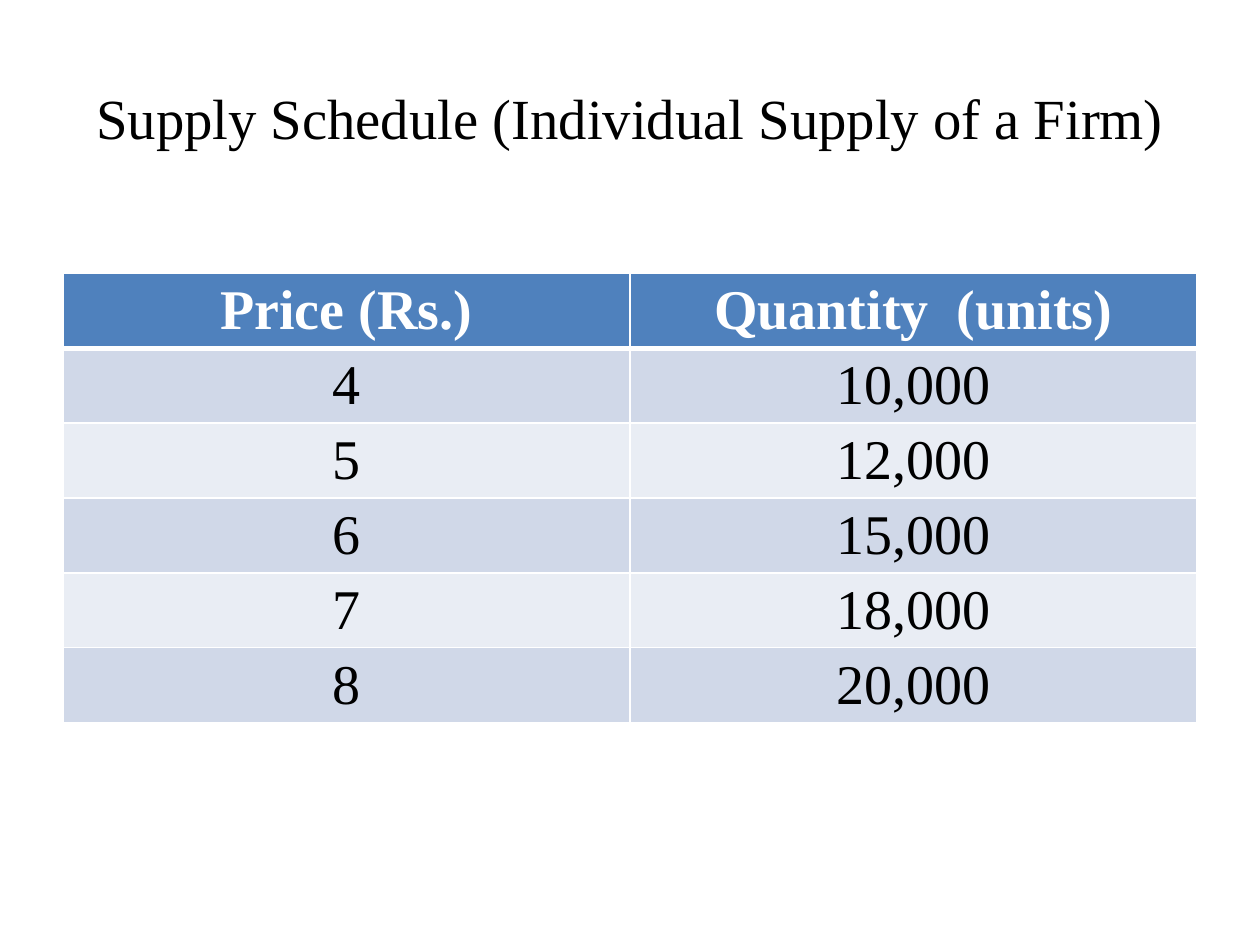
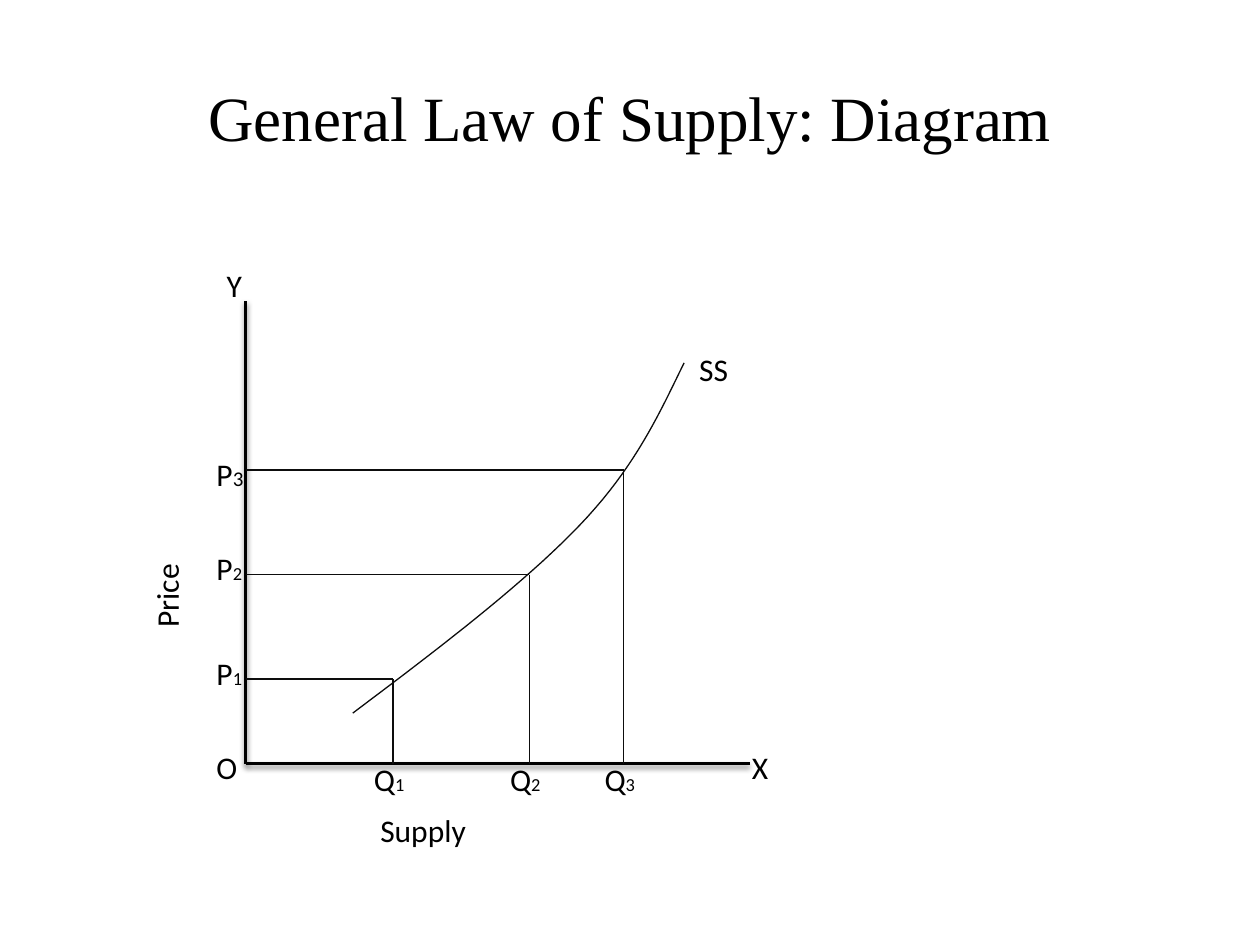
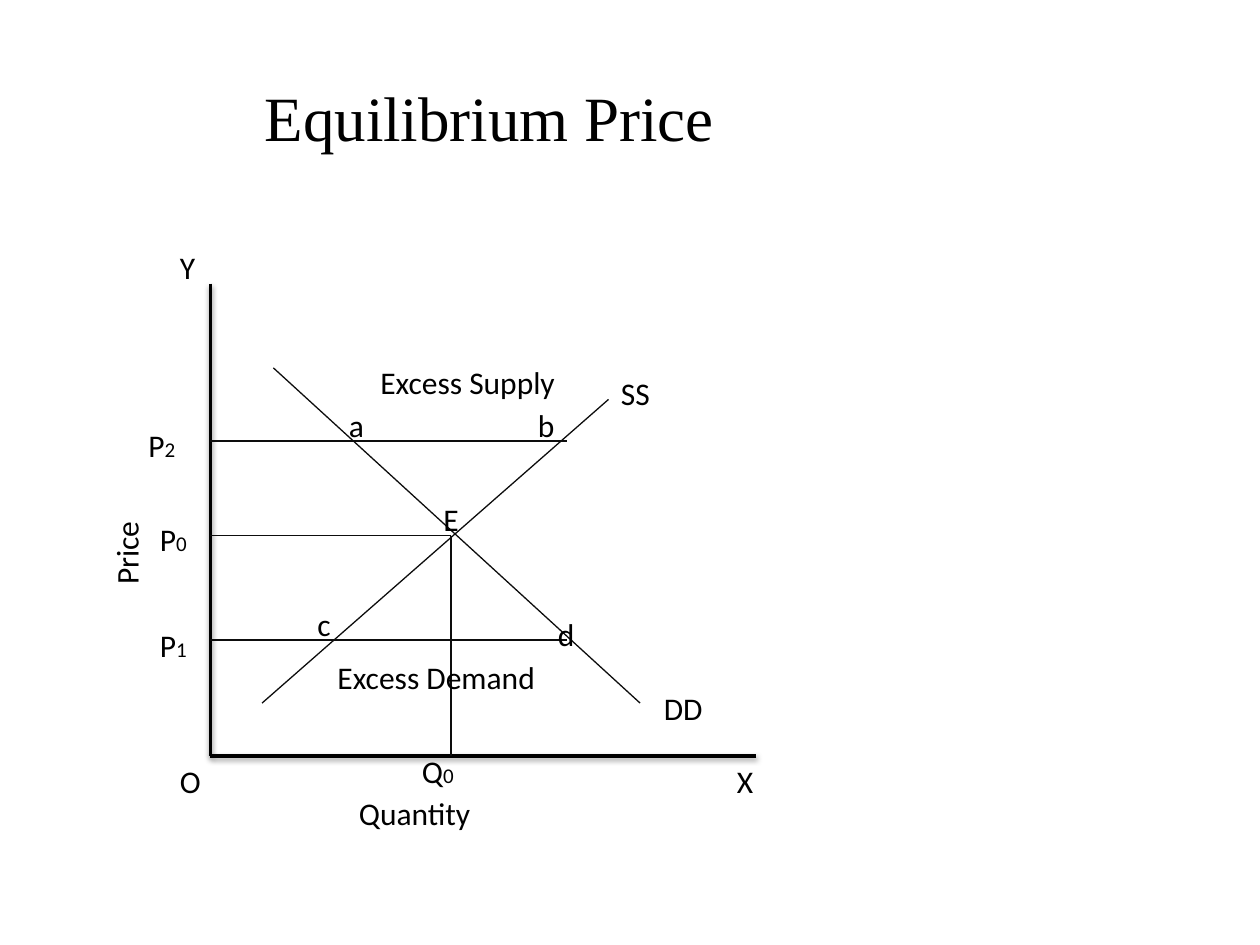
from dataclasses import dataclass

from lxml.etree import SubElement
from pptx import Presentation
from pptx.dml.color import RGBColor
from pptx.enum.shapes import MSO_CONNECTOR
from pptx.enum.text import MSO_ANCHOR, MSO_AUTO_SIZE, PP_ALIGN
from pptx.oxml import parse_xml
from pptx.oxml.ns import nsdecls, qn
from pptx.util import Inches, Pt

COLORS = {
    "text": "000000",
    "axis": "000000",
    "curve": "0D0D0D",
    "white": "FFFFFF",
    "header": "4F81BD",
    "odd_row": "D0D8E8",
    "even_row": "E9EDF4",
}
TITLE_FONT = "Times New Roman"
LABEL_FONT = "Calibri"
TITLE_ONLY = 5


@dataclass
class Box:
    """A region of a slide, in inches."""

    left: float
    top: float
    width: float
    height: float

    def point(self, offset):
        """Return the slide position of an offset from the top left corner."""
        return Inches(self.left + offset[0]), Inches(self.top + offset[1])


TITLE_BOX = Box(0.5, 0.3, 9, 1.25)


def color(name):
    """Return a named colour."""
    return RGBColor.from_string(COLORS[name])


def format_run(run, size, font=LABEL_FONT, color_name="text", bold=False):
    """Set the font of a run."""
    run.font.size = Pt(size)
    run.font.name = font
    run.font.bold = bold
    run.font.color.rgb = color(color_name)


def add_titled_slide(presentation, title, size=36, alignment=PP_ALIGN.CENTER, indent=0.1):
    """Add a slide and format its title."""
    slide = presentation.slides.add_slide(presentation.slide_layouts[TITLE_ONLY])
    shape = slide.shapes.title
    shape.left, shape.top = TITLE_BOX.point((0, 0))
    shape.width, shape.height = Inches(TITLE_BOX.width), Inches(TITLE_BOX.height)
    text_frame = shape.text_frame
    text_frame.text = title
    text_frame.margin_left = Inches(indent)
    text_frame.vertical_anchor = MSO_ANCHOR.MIDDLE
    paragraph = text_frame.paragraphs[0]
    paragraph.alignment = alignment
    format_run(paragraph.runs[0], size, TITLE_FONT)
    return slide


def set_borders(cell, top=1, bottom=1):
    """Give a cell white borders, widths in points."""
    properties = cell._tc.get_or_add_tcPr()
    widths = {"lnL": 1, "lnR": 1, "lnT": top, "lnB": bottom}
    for index, (tag, width) in enumerate(widths.items()):
        properties.insert(index, parse_xml(
            f'<a:{tag} {nsdecls("a")} w="{Pt(width)}"><a:solidFill>'
            f'<a:srgbClr val="{COLORS["white"]}"/></a:solidFill></a:{tag}>'))


def add_schedule(slide, box, rows):
    """Add a banded table whose first row is the header."""
    left, top = box.point((0, 0))
    table = slide.shapes.add_table(
        len(rows), len(rows[0]), left, top, Inches(box.width), Inches(box.height)).table
    for row_index, values in enumerate(rows):
        is_header = row_index == 0
        band = "header" if is_header else "odd_row" if row_index % 2 else "even_row"
        for column_index, value in enumerate(values):
            cell = table.cell(row_index, column_index)
            cell.text_frame.text = value
            cell.fill.solid()
            cell.fill.fore_color.rgb = color(band)
            set_borders(cell, 3 if row_index == 1 else 1, 3 if is_header else 1)
            paragraph = cell.text_frame.paragraphs[0]
            paragraph.alignment = PP_ALIGN.CENTER
            format_run(paragraph.runs[0], 32, TITLE_FONT,
                       "white" if is_header else "text", is_header)


def add_line(slide, box, start, end, color_name="curve", width=0.75):
    """Add a straight line and return its empty effect list."""
    connector = slide.shapes.add_connector(
        MSO_CONNECTOR.STRAIGHT, *box.point(start), *box.point(end))
    connector.line.color.rgb = color(color_name)
    connector.line.width = Pt(width)
    return SubElement(connector.element.spPr, qn("a:effectLst"))


def add_axes(slide, box):
    """Add shadowed axes along the left and bottom edges of the box."""
    origin = (0, box.height)
    for end in ((0, 0), (box.width, box.height)):
        effects = add_line(slide, box, end, origin, "axis", 2)
        effects.append(parse_xml(
            f'<a:outerShdw {nsdecls("a")} blurRad="{Pt(3.1)}" dist="{Pt(1.6)}" '
            'dir="5400000" rotWithShape="0"><a:srgbClr val="000000">'
            '<a:alpha val="38000"/></a:srgbClr></a:outerShdw>'))


def add_guides(slide, box, x, y):
    """Join a point to both axes."""
    add_line(slide, box, (0, y), (x, y))
    add_line(slide, box, (x, y), (x, box.height))


def add_label(slide, box, text, x, y, width=0.5, height=0.4, subscript="", subscript_size=12):
    """Add a label, optionally ending in a small index."""
    shape = slide.shapes.add_textbox(*box.point((x, y)), Inches(width), Inches(height))
    text_frame = shape.text_frame
    text_frame.word_wrap = True
    text_frame.auto_size = MSO_AUTO_SIZE.SHAPE_TO_FIT_TEXT
    paragraph = text_frame.paragraphs[0]
    paragraph.text = text
    format_run(paragraph.runs[0], 18)
    if subscript:
        run = paragraph.add_run()
        run.text = subscript
        format_run(run, subscript_size)
    return shape


def bezier_points(start, control_1, control_2, end, steps=20):
    """Return points along a cubic curve, without its start."""
    points = []
    for step in range(1, steps + 1):
        t = step / steps
        weights = ((1 - t) ** 3, 3 * t * (1 - t) ** 2, 3 * t ** 2 * (1 - t), t ** 3)
        corners = zip(start, control_1, control_2, end)
        points.append(tuple(sum(w * c for w, c in zip(weights, axis)) for axis in corners))
    return points


def add_curve(slide, box, knots):
    """Draw a smooth outline through joined cubic segments."""
    points = []
    for index in range(0, len(knots) - 1, 3):
        points += bezier_points(*knots[index:index + 4])
    builder = slide.shapes.build_freeform(*box.point(knots[0]))
    builder.add_line_segments([box.point(point) for point in points], close=False)
    shape = builder.convert_to_shape()
    shape.shadow.inherit = False
    shape.fill.background()
    shape.line.color.rgb = color("curve")
    shape.line.width = Pt(0.75)


def add_supply_diagram(slide, box):
    """Draw the rising supply curve with three price levels."""
    add_axes(slide, box)
    levels = (("1", 1.17, 3, 2.75, 10.5), ("2", 2.25, 2.17, 1.92, 10.5), ("3", 3, 1.34, 1.17, 12))
    for index, x, y, label_y, price_size in levels:
        add_guides(slide, box, x, y)
        add_label(slide, box, "P", -0.33, label_y, subscript=index, subscript_size=price_size)
        add_label(slide, box, "Q", x - 0.25, box.height - 0.08,
                  subscript=index, subscript_size=10.5)
    for label in (("SS", 3.5, 0.34, 0.75), ("Y", -0.25, -0.33), ("X", 3.92, 3.5),
                  ("O", -0.33, 3.5), ("Supply", 0.97, 4, 2.53)):
        add_label(slide, box, *label)
    price = add_label(slide, box, "Price", -0.83, 1.25, 0.5, 1.44)
    price.element.txBody.find(qn("a:bodyPr")).set("vert", "vert270")
    add_curve(slide, box, [(3.48, 0.49), (3.28, 0.9), (3.09, 1.32), (2.65, 1.78),
                           (2.21, 2.24), (1.53, 2.76), (0.85, 3.27)])


def add_equilibrium_diagram(slide, box):
    """Draw crossing supply and demand lines with excess zones."""
    add_axes(slide, box)
    add_line(slide, box, (0.41, 3.33), (3.16, 0.92))
    add_line(slide, box, (0.5, 0.67), (3.41, 3.33))
    add_guides(slide, box, 1.91, 2)
    for y in (1.25, 2.83):
        add_line(slide, box, (0, y), (2.83, y))
    for text, index, x, y, width in (("P", "1", -0.5, 2.67, 0.5), ("P", "0", -0.5, 1.83, 0.5),
                                     ("P", "2", -0.59, 1.08, 0.58), ("Q", "0", 1.58, 3.67, 0.75)):
        add_label(slide, box, text, x, y, width, subscript=index)
    for label in (("DD", 3.5, 3.17, 0.92), ("SS", 3.16, 0.67, 0.71), ("Quantity", 1.08, 4, 1.58),
                  ("O", -0.34, 3.75, 0.33), ("X", 4.08, 3.75, 0.75), ("Y", -0.34, -0.33, 0.42),
                  ("E", 1.75, 1.67, 0.42), ("a", 1, 0.92, 0.42), ("b", 2.5, 0.92),
                  ("c", 0.75, 2.5), ("d", 2.66, 2.58, 0.42),
                  ("Excess Supply", 1.25, 0.58, 1.83), ("Excess Demand", 0.91, 2.92, 1.92)):
        add_label(slide, box, *label)
    add_label(slide, box, "Price", -1.21, 1.75, 1.08).rotation = 270


def main():
    """Build and save the presentation."""
    presentation = Presentation()
    presentation.slide_width, presentation.slide_height = Inches(10), Inches(7.5)
    slide = add_titled_slide(presentation, "Supply Schedule (Individual Supply of a Firm)", 32.4)
    add_schedule(slide, Box(0.5, 2.17, 9, 3), [
        ("Price (Rs.)", "Quantity  (units)"), ("4", "10,000"), ("5", "12,000"),
        ("6", "15,000"), ("7", "18,000"), ("8", "20,000")])
    slide = add_titled_slide(presentation, "General Law of Supply: Diagram")
    add_supply_diagram(slide, Box(1.95, 2.39, 4, 3.67))
    slide = add_titled_slide(presentation, "Equilibrium Price", alignment=PP_ALIGN.LEFT, indent=1.6)
    add_equilibrium_diagram(slide, Box(1.67, 2.25, 4.33, 3.75))
    presentation.save("out.pptx")


if __name__ == "__main__":
    main()
